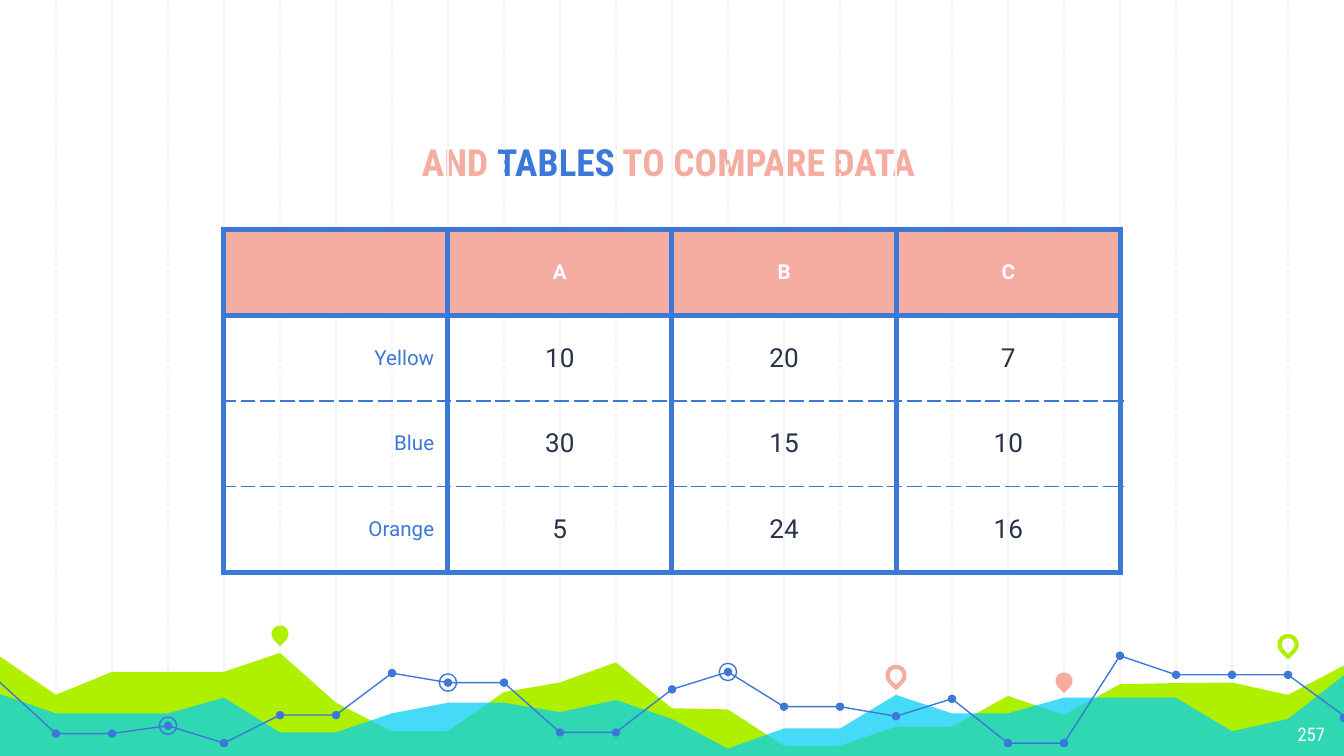
from dataclasses import dataclass

from lxml import etree
from pptx import Presentation
from pptx import util as u
from pptx.dml.color import RGBColor
from pptx.enum import dml, shapes, text
from pptx.oxml.ns import qn

PX = 3810  # EMU per px: 240 px to the inch
STEP = 100  # px between vertical guides


@dataclass(frozen=True)
class Theme:
    blue: str = "3C78D8"
    pink: str = "F5ACA1"
    lime: str = "AFF000"
    cyan: str = "00CEF6"
    ink: str = "28324A"
    guide: str = "F3F3F3"
    white: str = "FFFFFF"
    head_font: str = "Roboto Condensed"
    body_font: str = "Roboto"
    title_size: float = 20
    label_size: float = 11
    value_size: float = 14
    page_size: float = 10
    thin: float = 0.75
    pin_line: float = 2.25
    thick: float = 3


T = Theme()
GREEN_HILLS = [69, 141, 100, 100, 100, 66, 155, 206, 206, 136, 119, 83, 165,
               167, 232, 232, 198, 198, 143, 177, 122, 120, 119, 141, 86]
CYAN_HILLS = [138, 174, 174, 174, 146, 208, 208, 174, 155, 155, 172, 150, 184,
              237, 201, 201, 141, 174, 174, 146, 146, 146, 206, 184, 102]
TREND = [114, 210, 210, 196, 227, 177, 177, 102, 119, 119, 208, 208, 131,
         100, 162, 162, 179, 148, 227, 227, 71, 105, 105, 105, 182]
HALOS = (3, 8, 13)
PINS = [(5, 32, T.lime, True), (16, 106, T.pink, False),
        (19, 116, T.pink, True), (23, 51, T.lime, False)]
ROWS = [("", "A", "B", "C"), ("Yellow", "10", "20", "7"),
        ("Blue", "30", "15", "10"), ("Orange", "5", "24", "16")]


def rgb(color):
    return RGBColor.from_string(color)


def emu(*lengths):
    return [u.Emu(n * PX) for n in lengths]


def paint(sp, fill=None, line=None, width=T.thin):
    sp.shadow.inherit = False
    if fill:
        sp.fill.solid()
        sp.fill.fore_color.rgb = rgb(fill)
    else:
        sp.fill.background()
    if line:
        sp.line.color.rgb = rgb(line)
        sp.line.width = u.Pt(width)
    else:
        sp.line.fill.background()


def set_font(font, name, size, color, bold=False):
    font.name, font.size, font.bold = name, u.Pt(size), bold
    font.color.rgb = rgb(color)


def place_text(sp, box, anchor):
    sp.left, sp.top, sp.width, sp.height = emu(*box)
    tf = sp.text_frame
    tf.word_wrap = True
    tf.auto_size = text.MSO_AUTO_SIZE.NONE
    tf.vertical_anchor = anchor
    tf.margin_left, tf.margin_top, tf.margin_right, tf.margin_bottom = emu(24, 24, 24, 24)
    return tf.paragraphs[0]


def add_guides(s, box):
    """Solid guides on even steps, then dashed ones on odd steps."""
    x, y, w, h = box
    for first in (2, 1):
        for gx in range(x + first * STEP, x + w, 2 * STEP):
            c = s.shapes.add_connector(shapes.MSO_CONNECTOR.STRAIGHT, *emu(gx, y, gx, y + h))
            c.line.color.rgb = rgb(T.guide)
            c.line.width = u.Pt(T.thin)
            if first == 1:
                c.line.dash_style = dml.MSO_LINE.DASH
            etree.SubElement(c._element.spPr, qn("a:effectLst"))


def add_landscape(s, box):
    """Two hill areas with a dotted trend line and map pins, one value a step."""
    x, y, w, h = box

    def outline(heights, closed):
        pts = [(x + i * STEP, y + v) for i, v in enumerate(heights)]
        pts[0], pts[-1] = (x - 5, pts[0][1]), (x + w + 5, pts[-1][1])
        if closed:
            pts += [(x + w + 5, y + h), (x - 5, y + h)]
        fb = s.shapes.build_freeform(*pts[0], scale=PX)
        fb.add_line_segments(pts[1:], close=closed)
        return fb.convert_to_shape()

    def centred(kind, step, cy, size):
        return s.shapes.add_shape(
            kind, *emu(x + step * STEP - size / 2, y + cy - size / 2, size, size))

    paint(outline(GREEN_HILLS, True), T.lime)
    hills = outline(CYAN_HILLS, True)
    paint(hills, T.cyan)
    color = hills._element.spPr.find(qn("a:solidFill"))[0]
    etree.SubElement(color, qn("a:alpha"), val="73000")

    for step, cy, pin_color, filled in PINS:
        pin = centred(shapes.MSO_SHAPE.TEAR, step, cy, 31)
        pin.adjustments[0] = 1
        pin.rotation = 135
        if filled:
            paint(pin, pin_color)
        else:
            paint(pin, line=pin_color, width=T.pin_line)

    paint(outline(TREND, False), line=T.blue)
    for step, cy in enumerate(TREND[1:], 1):
        paint(centred(shapes.MSO_SHAPE.OVAL, step, cy, 15), T.blue)
    for step in HALOS:
        paint(centred(shapes.MSO_SHAPE.OVAL, step, TREND[step], 31), line=T.blue)


def add_title(s, box):
    p = place_text(s.shapes.title, box, text.MSO_ANCHOR.BOTTOM)
    p.alignment = text.PP_ALIGN.CENTER
    for words, color in (("AND ", T.pink), ("TABLES", T.blue), (" TO COMPARE DATA", T.pink)):
        r = p.add_run()
        r.text = words
        set_font(r.font, T.head_font, T.title_size, color, True)


def add_border(cell, side, dashed):
    width = u.Pt(T.thin if dashed else T.thick)
    ln = etree.SubElement(cell._tc.get_or_add_tcPr(), qn(f"a:ln{side}"), w=str(width))
    fill = etree.SubElement(ln, qn("a:solidFill"))
    etree.SubElement(fill, qn("a:srgbClr"), val=T.blue)
    etree.SubElement(ln, qn("a:prstDash"), val="dash" if dashed else "solid")


def add_data_table(s, box):
    n_rows, n_cols = len(ROWS), len(ROWS[0])
    table = s.shapes.add_table(n_rows, n_cols, *emu(*box)).table
    table.first_row = table.horz_banding = False
    for i, row in enumerate(ROWS):
        for j, value in enumerate(row):
            cell = table.cell(i, j)
            for side in "LRTB":
                dashed = (side == "T" and i > 1) or (side == "B" and 0 < i < n_rows - 1)
                add_border(cell, side, dashed)
            cell.margin_left, cell.margin_right = emu(24, 24)
            cell.margin_top, cell.margin_bottom = emu(17, 17)
            cell.vertical_anchor = text.MSO_ANCHOR.MIDDLE
            cell.text = value
            p = cell.text_frame.paragraphs[0]
            p.alignment = text.PP_ALIGN.CENTER
            if i == 0:
                cell.fill.solid()
                cell.fill.fore_color.rgb = rgb(T.pink)
                set_font(p.font, T.body_font, T.label_size, T.white, True)
                continue
            cell.fill.background()
            if j == 0:
                p.alignment = text.PP_ALIGN.RIGHT
                set_font(p.font, T.body_font, T.label_size, T.blue)
            else:
                set_font(p.font, T.body_font, T.value_size, T.ink)


def add_page_number(s, box):
    p = place_text(s.shapes.add_textbox(*emu(*box)), box, text.MSO_ANCHOR.TOP)
    p.text = "257"
    p.alignment = text.PP_ALIGN.RIGHT
    set_font(p.font, T.head_font, T.page_size, T.white)


def main():
    prs = Presentation()
    prs.slide_width, prs.slide_height = emu(2400, 1350)
    s = prs.slides.add_slide(prs.slide_layouts[5])
    add_guides(s, (0, 0, 2400, 1356))
    add_landscape(s, (0, 1100, 2400, 255))
    add_title(s, (276, 166, 1836, 187))
    add_data_table(s, (399, 410, 1602, 612))
    add_page_number(s, (2246, 1267, 144, 84))
    prs.save("out.pptx")


if __name__ == "__main__":
    main()
